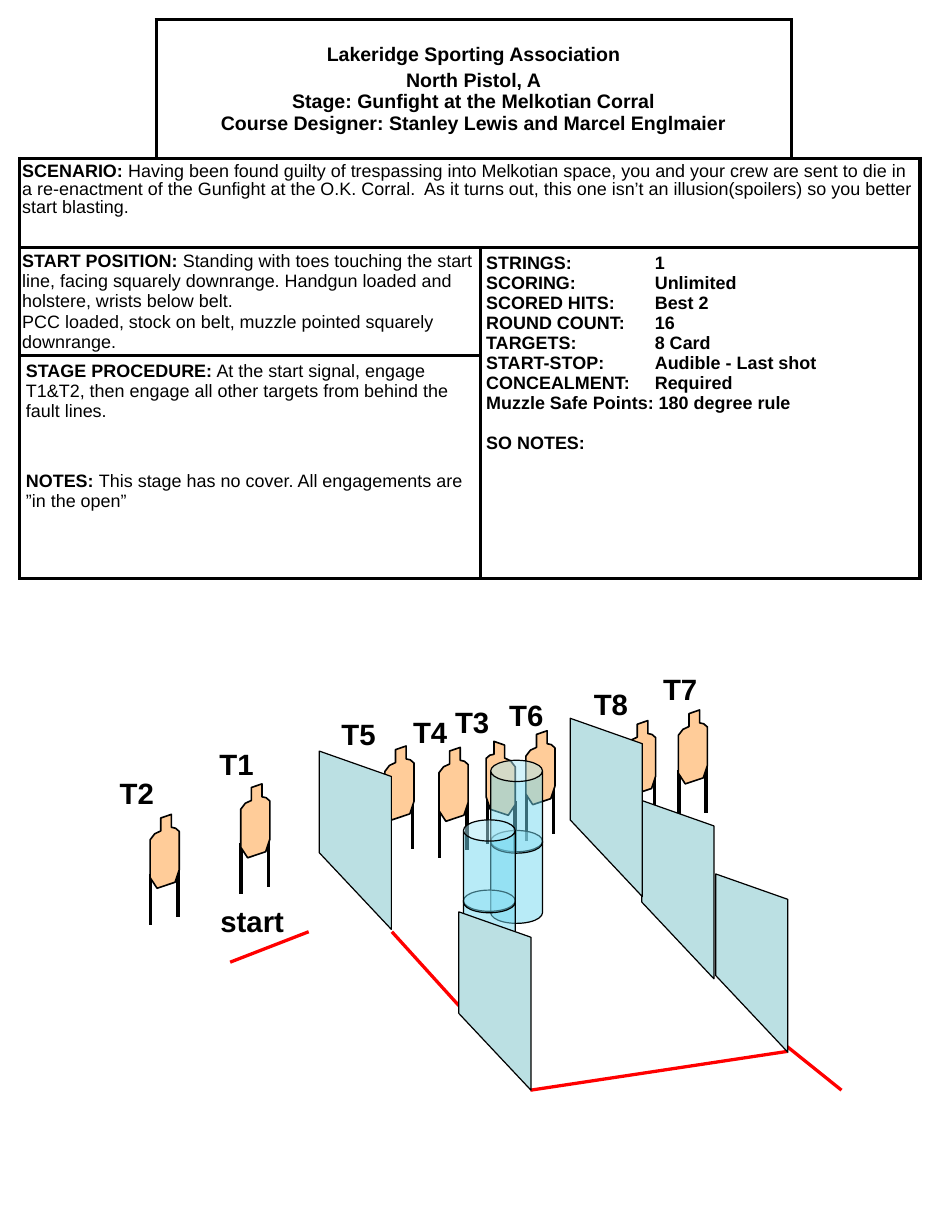
from lxml import etree
from pptx import Presentation
from pptx.dml.color import RGBColor
from pptx.enum.shapes import MSO_CONNECTOR, MSO_SHAPE
from pptx.enum.text import MSO_ANCHOR, PP_ALIGN
from pptx.oxml.ns import qn
from pptx.util import Cm, Pt

LINE = MSO_CONNECTOR.STRAIGHT
CAN = MSO_SHAPE.CAN
MID = MSO_ANCHOR.MIDDLE
CENTER = PP_ALIGN.CENTER
HUES = {"ink": "000000", "paper": "FFFFFF", "tan": "FFCC99",
        "wall": "BBE0E3", "can": "73D9F1", "red": "FF0000"}
BODY = [(.23, .08), (.46, 0), (.46, .28), (.55, .3), (.63, .37), (.63, 1.2),
        (.54, 1.47), (.15, 1.6), (0, 1.37), (0, .55), (.1, .42), (.23, .36)]
PANEL = [(0, 2.2), (1.56, 3.86), (1.56, .55), (0, 0)]
COLS = [2.95, 7.01, 6.73, 2.79]
ROWS = [3, 1.93, 2.34, 4.83]
SPECS = [("STRINGS:", "1"), ("SCORING:", "Unlimited"), ("SCORED HITS:", "Best 2"),
         ("ROUND COUNT:", "16"), ("TARGETS:", "8 Card"),
         ("START-STOP:", "Audible - Last shot"), ("CONCEALMENT:", "Required")]
LABELS = [("T1", 4.5, 16.03), ("T2", 2.34, 16.66), ("T3", 9.6, 15.11),
          ("T4", 8.69, 15.34), ("T5", 7.14, 15.37), ("T6", 10.77, 14.96),
          ("T7", 14.1, 14.4), ("T8", 12.6, 14.73), ("start", 4.52, 19.43)]
FAULTS = [(4.98, 20.83, 6.68, 20.17), (8.48, 20.17, 9.93, 21.77),
          (17.04, 22.66, 18.21, 23.6), (11.48, 23.6, 17.04, 22.76)]


def color(name):
    return RGBColor.from_string(HUES[name])


def style(para, size, bold=None):
    font = para.font
    font.name, font.size, font.bold = "Arial", Pt(size), bold
    font.color.rgb = color("ink")


def add_para(frame, runs, size=11, gap=0, bold=None, tab=None):
    first = frame.paragraphs[0]
    para = frame.add_paragraph() if first.runs else first
    if gap:
        para.space_before = Pt(gap)
    if tab:
        tabs = etree.SubElement(para._p.get_or_add_pPr(), qn("a:tabLst"))
        etree.SubElement(tabs, qn("a:tab"), pos=str(Cm(tab)), algn="l")
    style(para, size, bold)
    for text, heavy in runs:
        run = para.add_run()
        run.text = text
        if bold is None:
            run.font.bold = heavy
    return para


def add_edges(cell, bare):
    props = cell._tc.get_or_add_tcPr()
    for i, side in enumerate("LRTB"):
        edge = etree.Element(qn("a:ln" + side), w=str(Pt(2.25)))
        if side in bare:
            etree.SubElement(edge, qn("a:noFill"))
        else:
            fill = etree.SubElement(edge, qn("a:solidFill"))
            etree.SubElement(fill, qn("a:srgbClr"), val=HUES["ink"])
        props.insert(i, edge)


def pad(cell, across, down):
    cell.margin_left = cell.margin_right = Cm(across)
    cell.margin_top = cell.margin_bottom = Cm(down)
    return cell.text_frame


def add_brief(slide):
    frame = slide.shapes.add_table(4, 4, Cm(.43), Cm(.43), Cm(sum(COLS)), Cm(sum(ROWS)))
    table = frame.table
    table.first_row = table.horz_banding = False
    for col, width in zip(table.columns, COLS):
        col.width = Cm(width)
    for row, height in zip(table.rows, ROWS):
        row.height = Cm(height)
    bare = {(0, 0): "LT", (0, 3): "RT"}
    for r in range(4):
        for c in range(4):
            cell = table.cell(r, c)
            cell.fill.solid()
            cell.fill.fore_color.rgb = color("paper")
            add_edges(cell, bare.get((r, c), ""))
            pad(cell, .13, .13)
            style(cell.text_frame.paragraphs[0], 11)
    for top, left, low, right in [(0, 1, 0, 2), (1, 0, 1, 3), (2, 0, 2, 1),
                                  (2, 2, 3, 3), (3, 0, 3, 1)]:
        table.cell(top, left).merge(table.cell(low, right))

    head = table.cell(0, 1)
    head.vertical_anchor = MID
    text = head.text_frame
    add_para(text, [("Lakeridge Sporting Association", True)], 12, bold=True)
    para = add_para(text, [("North Pistol, A", True)], 12, 2.4, True)
    for line in ("Stage: Gunfight at the Melkotian Corral",
                 "Course Designer: Stanley Lewis and Marcel Englmaier"):
        para.add_line_break()
        para.add_run().text = line
    for para in text.paragraphs:
        para.alignment = CENTER

    text = pad(table.cell(1, 0), .05, .1)
    para = add_para(text, [
        ("SCENARIO: ", True),
        ("Having been found guilty of trespassing into Melkotian space, you and your crew "
         "are sent to die in a re-enactment of the Gunfight at the O.K. Corral.  As it turns "
         "out, this one isn’t an illusion(spoilers) so you better start blasting.", False)])
    para.line_spacing = .9

    text = pad(table.cell(2, 0), .05, .08)
    add_para(text, [
        ("START POSITION: ", True),
        ("Standing with toes touching the start line, facing squarely downrange. "
         "Handgun loaded and holstere, wrists below belt.", False)])
    add_para(text, [("PCC loaded, stock on belt, muzzle pointed squarely downrange.", False)],
             gap=.5, bold=False)

    text = table.cell(2, 2).text_frame
    for name, value in SPECS:
        add_para(text, [(f"{name}\t{value}", True)], bold=True, tab=3.65)
    add_para(text, [("Muzzle Safe Points: 180 degree rule", True)], bold=True)
    add_para(text, [("SO NOTES:", True)], gap=12.3, bold=True)

    text = table.cell(3, 0).text_frame
    add_para(text, [
        ("STAGE PROCEDURE:", True),
        (" At the start signal, engage T1&T2, then engage all other targets "
         "from behind the fault lines.", False)])
    add_para(text, [("NOTES: ", True),
                    ("This stage has no cover. All engagements are ”in the open”", False)],
             gap=30.6)


def add_line(shapes, x1, y1, x2, y2, hue, width):
    line = shapes.add_connector(LINE, Cm(x1), Cm(y1), Cm(x2), Cm(y2))
    line.line.color.rgb = color(hue)
    line.line.width = Pt(width)
    etree.SubElement(line._element.spPr, qn("a:effectLst"))


def paint(shape, hue, width):
    shape.shadow.inherit = False
    shape.fill.solid()
    shape.fill.fore_color.rgb = color(hue)
    shape.line.color.rgb = color("ink")
    shape.line.width = Pt(width)


def add_free(shapes, points, x, y, hue, width):
    spots = [(Cm(x + px), Cm(y + py)) for px, py in points]
    free = shapes.build_freeform(*spots[0])
    free.add_line_segments(spots[1:], close=True)
    paint(free.convert_to_shape(), hue, width)


def add_target(slide, x, y, flip=False):
    def turn(px):
        return .63 - px if flip else px

    shapes = slide.shapes.add_group_shape().shapes
    for px, py in ((.01, 1.29), (.6, 1.13)):
        leg = x + turn(px)
        add_line(shapes, leg, y + py, leg, y + py + 1.1, "ink", 2.25)
    add_free(shapes, [(turn(px), py) for px, py in BODY], x, y, "tan", 1)


def add_wall(slide, x, y):
    add_free(slide.shapes, PANEL, x, y, "wall", .75)


def add_cans(slide, x, y):
    shapes = slide.shapes.add_group_shape().shapes
    for top in (y + 1.52, y):
        can = shapes.add_shape(CAN, Cm(x), Cm(top), Cm(1.12), Cm(2.01))
        can.adjustments[0] = .41
        paint(can, "can", .75)
        tint = can._element.spPr.find(qn("a:solidFill"))[0]
        etree.SubElement(tint, qn("a:alpha"), val="50000")


def add_label(slide, text, x, y):
    width = 1.52 if len(text) == 2 else 2.24
    box = slide.shapes.add_textbox(Cm(x), Cm(y), Cm(width), Cm(1.02))
    box.text_frame.word_wrap = True
    add_para(box.text_frame, [(text, True)], 18, bold=True)


def main():
    deck = Presentation()
    deck.slide_width, deck.slide_height = Cm(20.32), Cm(26.67)
    slide = deck.slides.add_slide(deck.slide_layouts[6])
    add_brief(slide)
    for x, y in ((14.68, 15.37), (13.56, 15.6)):
        add_target(slide, x, y)
    for ends in FAULTS:
        add_line(slide.shapes, *ends, "red", 2)
    for label in LABELS:
        add_label(slide, *label)
    for x, y in ((15.49, 18.92), (13.89, 17.33), (12.34, 15.55)):
        add_wall(slide, x, y)
    for x, y in ((5.21, 16.97), (3.25, 17.63), (11.38, 15.82), (9.5, 16.18), (8.33, 16.15)):
        add_target(slide, x, y)
    add_target(slide, 10.52, 16.05, flip=True)
    add_wall(slide, 6.91, 16.26)
    for x, y in ((10.62, 16.46), (10.03, 17.75)):
        add_cans(slide, x, y)
    add_wall(slide, 9.93, 19.74)
    deck.save("out.pptx")


if __name__ == "__main__":
    main()
